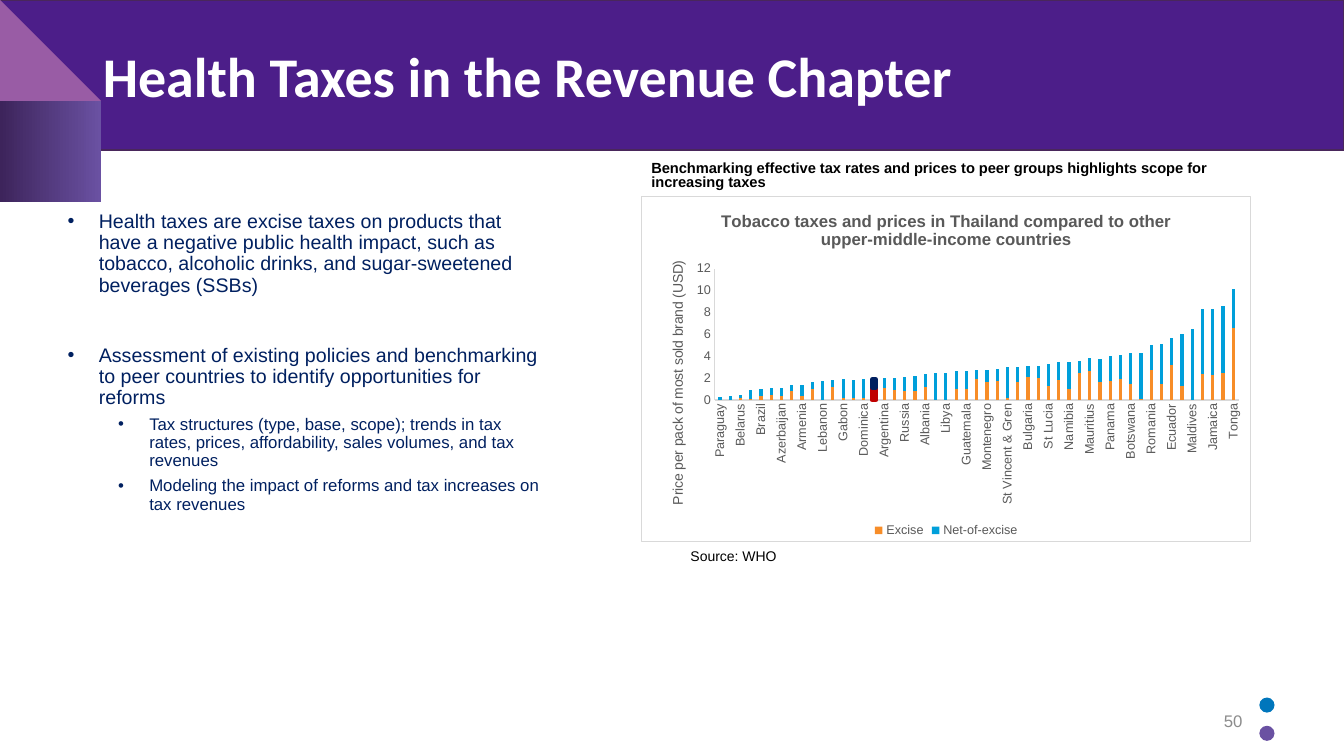
import pptx
import pptx.chart.data
import pptx.dml.color
import pptx.enum.chart
import pptx.enum.shapes
import pptx.enum.text
import pptx.oxml
import pptx.oxml.ns
import pptx.util

COLORS = {
    "band": "4C1E89", "band line": "49275B", "dark": "3D245B", "violet": "6A51A2",
    "pink": "995CA5", "blue": "0076BC", "white": "FFFFFF", "black": "000000",
    "navy": "002060", "grey": "8C8C8C", "chart text": "595959", "rule": "D9D9D9",
    "excise": "F78D28", "net": "009FDA", "red": "C00000",
}
RGB = {name: pptx.dml.color.RGBColor.from_string(value) for name, value in COLORS.items()}
ALIGN = pptx.enum.text.PP_ALIGN
MIDDLE = pptx.enum.text.MSO_ANCHOR.MIDDLE


def write(frame, text, size, color, font="Arial", bold=False, align=ALIGN.LEFT,
          spacing=None, before=0, bullet=None, margin=0, hanging=0):
    """Add a paragraph; bullet is a character, or "" to switch an inherited bullet off."""
    paragraph = frame.add_paragraph() if frame.text else frame.paragraphs[0]
    if bullet is not None:
        properties = paragraph._p.get_or_add_pPr()
        properties.set("marL", str(pptx.util.Inches(margin)))
        properties.set("indent", str(-pptx.util.Inches(hanging)))
        tag = f'a:buChar char="{bullet}"' if bullet else "a:buNone"
        properties.append(pptx.oxml.parse_xml(f'<{tag} {pptx.oxml.ns.nsdecls("a")}/>'))
    paragraph.alignment = align
    paragraph.space_before = pptx.util.Pt(before)
    if spacing:
        paragraph.line_spacing = spacing
    run = paragraph.add_run()
    run.text = text
    run.font.name, run.font.size, run.font.bold = font, pptx.util.Pt(size), bold
    run.font.color.rgb = RGB[color]
    return paragraph


def draw_outline(shapes, start, steps):
    """Draw a closed outline in inches; a step is a point or a cubic curve of three points."""
    points = [start]
    for step in steps:
        if len(step) == 1:
            points.append(step[0])
            continue
        knots = [points[-1], *step]
        for t in (0.125 * n for n in range(1, 9)):
            weights = ((1 - t) ** 3, 3 * t * (1 - t) ** 2, 3 * t * t * (1 - t), t ** 3)
            points.append(tuple(sum(w * k[axis] for w, k in zip(weights, knots)) for axis in (0, 1)))
    builder = shapes.build_freeform(*start, scale=pptx.util.Inches(1))
    builder.add_line_segments(points[1:], close=True)
    return builder.convert_to_shape()


presentation = pptx.Presentation()
presentation.slide_width = pptx.util.Inches(13.33)
presentation.slide_height = pptx.util.Inches(7.5)
slide = presentation.slides.add_slide(presentation.slide_layouts[3])
title, bullets, heading = slide.placeholders

# Left, top, width and height as percentages of the slide
shares = {
    "band": (0, 0, 100, 19.87),
    "title": (6.9, 1.47, 86.27, 18),
    "heading": (47.71, 20.8, 45.39, 5.33),
    "chart": (47.71, 25.87, 45.39, 45.87),
    "source": (50.64, 71.73, 7.95, 3.6),
    "bullets": (4.28, 27.33, 37.28, 44.4),
    "number": (70.67, 92.67, 22.51, 5.33),
    "blue": (93.7, 92.27, 1.13, 2),
    "violet": (93.7, 96, 1.13, 2),
}
sides = (presentation.slide_width, presentation.slide_height) * 2
boxes = {name: [round(part * side / 100) for part, side in zip(share, sides)]
         for name, share in shares.items()}

# Header band, chevron and corner dots, all behind the text
band = slide.shapes.add_shape(pptx.enum.shapes.MSO_SHAPE.RECTANGLE, *boxes["band"])
lower_arm = draw_outline(slide.shapes, (0.15, 1.49), [
    [(0.66, 0.82)], [(0.7, 0.77), (0.69, 0.69), (0.63, 0.65)], [(0.6, 0.62)],
    [(0.55, 0.58), (0.47, 0.59), (0.42, 0.64)], [(-0.09, 1.31)],
    [(-0.13, 1.36), (-0.12, 1.44), (-0.06, 1.49)], [(-0.03, 1.51)],
    [(0.03, 1.55), (0.11, 1.54), (0.15, 1.49)]])
upper_arm = draw_outline(slide.shapes, (0.36, 0.73), [
    [(-0.07, 0.17)], [(-0.12, 0.1), (-0.11, 0.01), (-0.05, -0.04)],
    [(0.02, -0.09), (0.11, -0.07), (0.16, -0.01)], [(0.66, 0.64)],
    [(0.69, 0.68), (0.7, 0.75), (0.67, 0.8)], [(0.66, 0.82), (0.43, 1.11), (0.43, 1.11)],
    [(0.43, 1.11), (0.46, 1.02), (0.45, 0.93)], [(0.45, 0.84), (0.36, 0.73), (0.36, 0.73)]])
decoration = [(band, "band"), (lower_arm, None), (upper_arm, "pink")]
for name in ("blue", "violet"):
    dot = slide.shapes.add_shape(pptx.enum.shapes.MSO_SHAPE.OVAL, *boxes[name])
    decoration.append((dot, name))
for shape, color in decoration:
    shape.shadow.inherit = False
    shape.line.fill.background()
    if color:
        shape.fill.solid()
        shape.fill.fore_color.rgb = RGB[color]
    title.element.addprevious(shape.element)
band.line.color.rgb = RGB["band line"]
band.line.width = pptx.util.Pt(1)
lower_arm.fill.gradient()
lower_arm.fill.gradient_angle = 0
for stop, color in zip(lower_arm.fill.gradient_stops, ("dark", "violet")):
    stop.color.rgb = RGB[color]

# Title, bullets and chart heading
for name, shape in (("title", title), ("bullets", bullets), ("heading", heading)):
    shape.left, shape.top, shape.width, shape.height = boxes[name]
    shape.text_frame.auto_size = pptx.enum.text.MSO_AUTO_SIZE.NONE
title.text_frame.vertical_anchor = MIDDLE
write(title.text_frame, "Health Taxes in the Revenue Chapter", 40, "white",
      font="Calibri", bold=True, spacing=0.9)
write(heading.text_frame,
      "Benchmarking effective tax rates and prices to peer groups highlights scope for increasing taxes",
      10.5, "black", bold=True, spacing=0.8, bullet="")
for level, before, text in (
    (0, 0, "Health taxes are excise taxes on products that have a negative public health impact, "
           "such as tobacco, alcoholic drinks, and sugar-sweetened beverages (SSBs)"),
    (0, 35, "Assessment of existing policies and benchmarking to peer countries to identify "
            "opportunities for reforms"),
    (1, 5, "Tax structures (type, base, scope); trends in tax rates, prices, affordability, "
           "sales volumes, and tax revenues"),
    (1, 5, "Modeling the impact of reforms and tax increases on tax revenues"),
):
    paragraph = write(bullets.text_frame, text, 14 - 2 * level, "navy", spacing=0.9, before=before,
                      bullet="•", margin=0.31 + 0.5 * level, hanging=0.31)
    paragraph.level = level

# Source line and slide number
source = slide.shapes.add_textbox(*boxes["source"])
source.text_frame.word_wrap = False
write(source.text_frame, "Source: WHO", 10, "black")
number = slide.shapes.add_textbox(*boxes["number"])
number.text_frame.word_wrap = True
number.text_frame.vertical_anchor = MIDDLE
write(number.text_frame, "50", 12, "grey", align=ALIGN.RIGHT)

# Chart data
countries = (
    "Paraguay,Iraq,Belarus,Equatorial Guinea,Brazil,Kazakhstan,Azerbaijan,Colombia,Armenia,Georgia,"
    "Lebanon,North Macedonia,Gabon,Guyana,Dominica,Thailand,Argentina,Moldova,Russia,China,Albania,"
    "Marshall Islands,Libya,South Africa,Guatemala,Turkey,Montenegro,Serbia,St Vincent & Gren,Mexico,"
    "Bulgaria,Jordan,St Lucia,Peru,Namibia,Bosnia & Herzegovina,Mauritius,Costa Rica,Panama,Malaysia,"
    "Botswana,Tuvalu,Romania,Dominican Rep.,Ecuador,Suriname,Maldives,Fiji,Jamaica,Turkmenistan,Tonga"
).split(",")
excise = [0, 0, 0.2, 0.1, 0.4, 0.5, 0.4, 0.8, 0.4, 1, 0, 1.2, 0.2, 0.2, 0.2, 1.1, 1.1, 0.9, 0.8, 0.8,
          1.2, 0, 0, 1, 1, 1.9, 1.6, 1.7, 0.2, 1.6, 2.1, 2, 1.3, 1.8, 1, 2.5, 2.6, 1.6, 1.7, 1.9,
          1.5, 0.1, 2.7, 1.5, 3.2, 1.3, 0, 2.4, 2.3, 2.5, 6.6]
net = [0.3, 0.4, 0.3, 0.8, 0.6, 0.6, 0.7, 0.6, 1, 0.6, 1.7, 0.6, 1.7, 1.6, 1.7, 0.8, 0.9, 1.1, 1.3, 1.4,
       1.2, 2.5, 2.5, 1.6, 1.6, 0.8, 1.1, 1.1, 2.8, 1.4, 1, 1.1, 2, 1.7, 2.5, 1.1, 1.2, 2.1, 2.3, 2.2,
       2.8, 4.2, 2.3, 3.6, 2.5, 4.7, 6.5, 5.9, 6, 6.1, 3.5]
data = pptx.chart.data.CategoryChartData()
data.categories = countries
data.add_series("Excise", excise)
data.add_series("Net-of-excise", net)

# Stacked columns, with Thailand picked out by a thick outline
chart = slide.shapes.add_chart(pptx.enum.chart.XL_CHART_TYPE.COLUMN_STACKED, *boxes["chart"], data).chart
chart.font.name, chart.font.size = "Arial", pptx.util.Pt(10)
plot = chart.plots[0]
plot.gap_width, plot.overlap, plot.vary_by_categories = 219, 100, False
for series, color, fill, outline in zip(plot.series, ("excise", "net"), ("red", "net"), ("red", "navy")):
    series.format.fill.solid()
    series.format.fill.fore_color.rgb = RGB[color]
    thailand = series.points[countries.index("Thailand")].format
    thailand.fill.solid()
    thailand.fill.fore_color.rgb = RGB[fill]
    thailand.line.color.rgb = RGB[outline]
    thailand.line.width = pptx.util.Pt(3.5)

# Chart title, axes and legend
write(chart.chart_title.text_frame,
      "Tobacco taxes and prices in Thailand compared to other upper-middle-income countries",
      12, "chart text", bold=True, align=ALIGN.CENTER)
countries_axis, price_axis = chart.category_axis, chart.value_axis
write(price_axis.axis_title.text_frame, "Price per pack of most sold brand (USD)", 10, "chart text")
price_axis.has_major_gridlines = False
price_axis.minimum_scale, price_axis.maximum_scale, price_axis.major_unit = 0, 12, 2
price_axis.tick_labels.number_format = "0"
price_axis.tick_labels.number_format_is_linked = False
for axis in (countries_axis, price_axis):
    axis.major_tick_mark = pptx.enum.chart.XL_TICK_MARK.NONE
    axis.format.line.color.rgb = RGB["rule"]
    axis.format.line.width = pptx.util.Pt(0.75)
chart.has_legend = True
chart.legend.position = pptx.enum.chart.XL_LEGEND_POSITION.BOTTOM
chart.legend.include_in_layout = False
for font in (countries_axis.tick_labels.font, price_axis.tick_labels.font, chart.legend.font):
    font.name, font.size, font.color.rgb = "Arial", pptx.util.Pt(9), RGB["chart text"]

# Upright country names, every second one; fixed plot area; thin border
names = pptx.oxml.ns.nsdecls("c", "a")
chart_space = chart.element
for body in chart_space.xpath(".//c:catAx/c:txPr/a:bodyPr"):
    body.set("rot", "-5400000")
    body.set("vert", "horz")
for label_offset in chart_space.xpath(".//c:catAx/c:lblOffset"):
    label_offset.addnext(pptx.oxml.parse_xml(f'<c:tickLblSkip {names} val="2"/>'))
for place, target, position in (
    ("c:plotArea", '<c:layoutTarget val="inner"/>', {"x": 0.12, "y": 0.21, "w": 0.86, "h": 0.38}),
    ("c:valAx/c:title", "", {"x": 0.04, "y": 0.18}),
):
    owner = chart_space.xpath(f".//{place}")[0]
    for layout in owner.xpath("./c:layout"):
        owner.remove(layout)
    modes = "".join(f'<c:{key}Mode val="edge"/>' for key in position if key in "xy")
    values = "".join(f'<c:{key} val="{value}"/>' for key, value in position.items())
    layout = pptx.oxml.parse_xml(
        f"<c:layout {names}><c:manualLayout>{target}{modes}{values}</c:manualLayout></c:layout>")
    text = owner.xpath("./c:tx")
    text[0].addnext(layout) if text else owner.insert(0, layout)
chart_space.xpath("./c:chart")[0].addnext(pptx.oxml.parse_xml(
    f'<c:spPr {names}><a:noFill/><a:ln w="9525"><a:solidFill>'
    f'<a:srgbClr val="{COLORS["rule"]}"/></a:solidFill></a:ln></c:spPr>'))

presentation.save("out.pptx")
